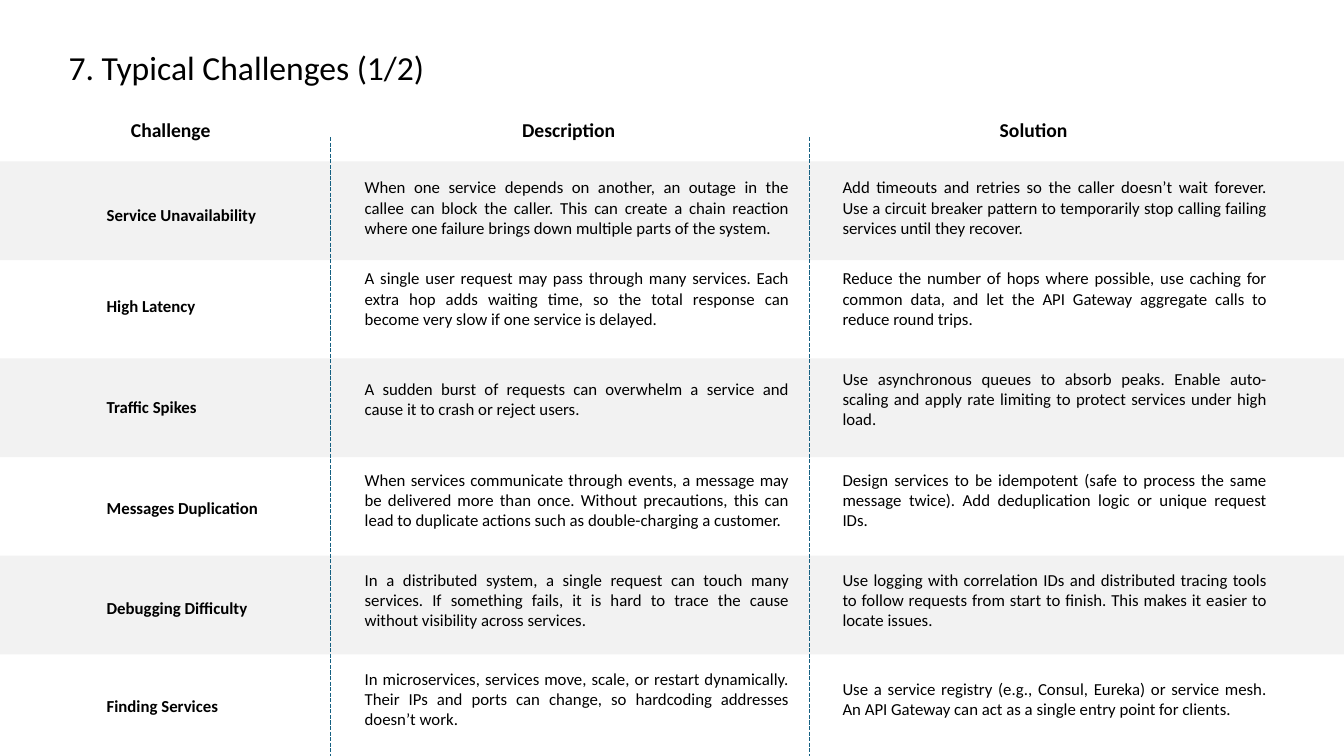
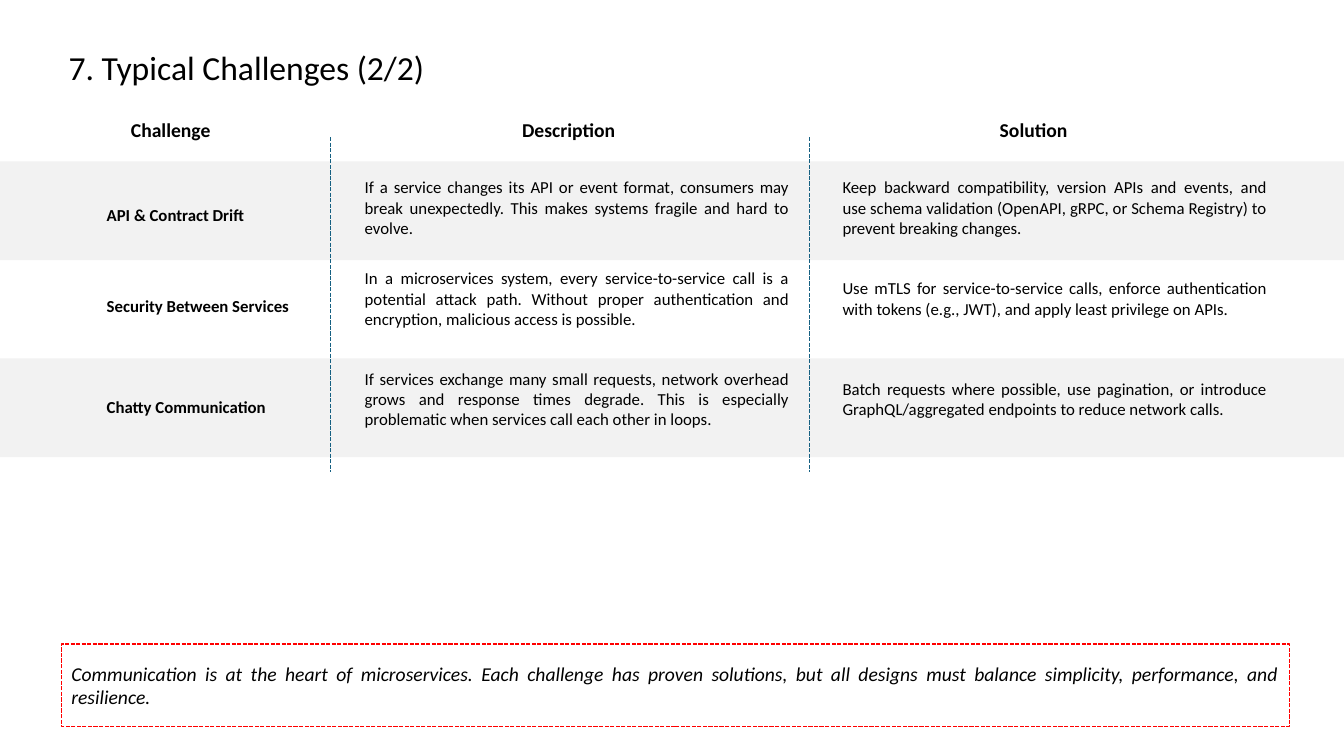
from lxml import etree
from pptx import Presentation
from pptx import util as u
from pptx.dml import color
from pptx.enum import dml, shapes, text
from pptx.oxml import ns


class Theme:
    font = "Calibri"
    ink = color.RGBColor.from_string("000000")
    band = color.RGBColor.from_string("F2F2F2")
    divider = color.RGBColor.from_string("156082")
    alert = color.RGBColor.from_string("FF0000")
    title_size, emphasis_size, body_size = 24, 14, 12
    line_width = 1


SLIDE_WIDTH, SLIDE_HEIGHT = 960, 540
BAND_TOP, BAND_HEIGHT, BAND_PITCH = 115.2, 70.6, 140.8
HEADINGS = {"Challenge": 86.4, "Description": 365.8, "Solution": 707}
DIVIDERS_X, DIVIDER_TOP = (236.2, 578.2), 97.9
ROW_TOPS = (126.6, 191.5, 263.5, 335.5, 406.8, 477.4)
NAME_DROP = 9.4  # challenge names sit a little below their row's text
NAME_X, DESCRIPTION_X, SOLUTION_X = 69.1, 253.4, 594.7

PAGES = [
    {
        "title": "7. Typical Challenges (1/2)",
        "divider_bottom": SLIDE_HEIGHT,
        "rows": [
            ("Service Unavailability",
             "When one service depends on another, an outage in the callee can block the caller. "
             "This can create a chain reaction where one failure brings down multiple parts of the system.",
             "Add timeouts and retries so the caller doesn’t wait forever. Use a circuit breaker "
             "pattern to temporarily stop calling failing services until they recover."),
            ("High Latency",
             "A single user request may pass through many services. Each extra hop adds waiting time, "
             "so the total response can become very slow if one service is delayed.",
             "Reduce the number of hops where possible, use caching for common data, and let the "
             "API Gateway aggregate calls to reduce round trips."),
            ("Traffic Spikes",
             "A sudden burst of requests can overwhelm a service and cause it to crash or reject users.",
             "Use asynchronous queues to absorb peaks. Enable auto-scaling and apply rate limiting "
             "to protect services under high load."),
            ("Messages Duplication",
             "When services communicate through events, a message may be delivered more than once. "
             "Without precautions, this can lead to duplicate actions such as double-charging a customer.",
             "Design services to be idempotent (safe to process the same message twice). "
             "Add deduplication logic or unique request IDs."),
            ("Debugging Difficulty",
             "In a distributed system, a single request can touch many services. If something fails, "
             "it is hard to trace the cause without visibility across services.",
             "Use logging with correlation IDs and distributed tracing tools to follow requests from "
             "start to finish. This makes it easier to locate issues."),
            ("Finding Services",
             "In microservices, services move, scale, or restart dynamically. Their IPs and ports can "
             "change, so hardcoding addresses doesn’t work.",
             "Use a service registry (e.g., Consul, Eureka) or service mesh. An API Gateway can act "
             "as a single entry point for clients."),
        ],
    },
    {
        "title": "7. Typical Challenges (2/2)",
        "divider_bottom": 337,
        "rows": [
            ("API & Contract Drift",
             "If a service changes its API or event format, consumers may break unexpectedly. "
             "This makes systems fragile and hard to evolve.",
             "Keep backward compatibility, version APIs and events, and use schema validation "
             "(OpenAPI, gRPC, or Schema Registry) to prevent breaking changes."),
            ("Security Between Services",
             "In a microservices system, every service-to-service call is a potential attack path. "
             "Without proper authentication and encryption, malicious access is possible.",
             "Use mTLS for service-to-service calls, enforce authentication with tokens (e.g., JWT), "
             "and apply least privilege on APIs."),
            ("Chatty Communication",
             "If services exchange many small requests, network overhead grows and response times "
             "degrade. This is especially problematic when services call each other in loops.",
             "Batch requests where possible, use pagination, or introduce GraphQL/aggregated "
             "endpoints to reduce network calls."),
        ],
        "takeaway": "Communication is at the heart of microservices. Each challenge has proven solutions, "
                    "but all designs must balance simplicity, performance, and resilience.",
    },
]


def box(left, top, width, height):
    return [u.Pt(length) for length in (left, top, width, height)]


def write(shape, wording, size=Theme.body_size, bold=False, italic=False,
          align=text.PP_ALIGN.JUSTIFY, anchor=text.MSO_ANCHOR.MIDDLE, line_spacing=1.0):
    frame = shape.text_frame
    frame.word_wrap = True
    frame.auto_size = text.MSO_AUTO_SIZE.NONE
    frame.vertical_anchor = anchor
    frame.text = wording
    paragraph = frame.paragraphs[0]
    paragraph.alignment = align
    paragraph.line_spacing = line_spacing
    font = paragraph.runs[0].font
    font.name, font.size = Theme.font, u.Pt(size)
    font.bold, font.italic = bold, italic
    font.color.rgb = Theme.ink


deck = Presentation()
deck.slide_width, deck.slide_height = u.Pt(SLIDE_WIDTH), u.Pt(SLIDE_HEIGHT)
title_only = deck.slide_layouts[5]
title_area = title_only.placeholders[0]
title_area.left, title_area.top, title_area.width, title_area.height = box(41.8, 28.8, 878.4, 41.8)

for page in PAGES:
    slide = deck.slides.add_slide(title_only)
    write(slide.shapes.title, page["title"], size=Theme.title_size,
          align=text.PP_ALIGN.LEFT, line_spacing=0.9)

    for index in range(len(page["rows"][::2])):
        band = slide.shapes.add_shape(
            shapes.MSO_SHAPE.RECTANGLE,
            *box(0, BAND_TOP + index * BAND_PITCH, SLIDE_WIDTH, BAND_HEIGHT))
        band.shadow.inherit = False
        band.fill.solid()
        band.fill.fore_color.rgb = Theme.band
        band.line.fill.background()

    for heading, left in HEADINGS.items():
        write(slide.shapes.add_textbox(*box(left, 80.6, 92.2, 24.5)), heading,
              size=Theme.emphasis_size, bold=True,
              align=text.PP_ALIGN.LEFT, anchor=text.MSO_ANCHOR.TOP)

    for x in DIVIDERS_X:
        divider = slide.shapes.add_connector(
            shapes.MSO_CONNECTOR.STRAIGHT, *box(x, DIVIDER_TOP, x, page["divider_bottom"]))
        divider.line.color.rgb = Theme.divider
        divider.line.width = u.Pt(Theme.line_width)
        divider.line.dash_style = dml.MSO_LINE.SQUARE_DOT
        etree.SubElement(divider._element.spPr, ns.qn("a:effectLst"))

    for top, (name, description, solution) in zip(ROW_TOPS, page["rows"]):
        row = slide.shapes.add_group_shape().shapes
        write(row.add_textbox(*box(DESCRIPTION_X, top, 317.5, 43.2)), description)
        write(row.add_textbox(*box(NAME_X, top + NAME_DROP, 150.5, 35.3)), name, bold=True)
        write(row.add_textbox(*box(SOLUTION_X, top, 317.5, 43.2)), solution)

    if "takeaway" in page:
        takeaway = slide.shapes.add_shape(
            shapes.MSO_SHAPE.RECTANGLE, *box(43.9, 460, 877, 59))
        takeaway.shadow.inherit = False
        takeaway.fill.background()
        takeaway.line.color.rgb = Theme.alert
        takeaway.line.width = u.Pt(Theme.line_width)
        takeaway.line.dash_style = dml.MSO_LINE.SQUARE_DOT
        write(takeaway, page["takeaway"], size=Theme.emphasis_size, italic=True)

deck.save("out.pptx")
